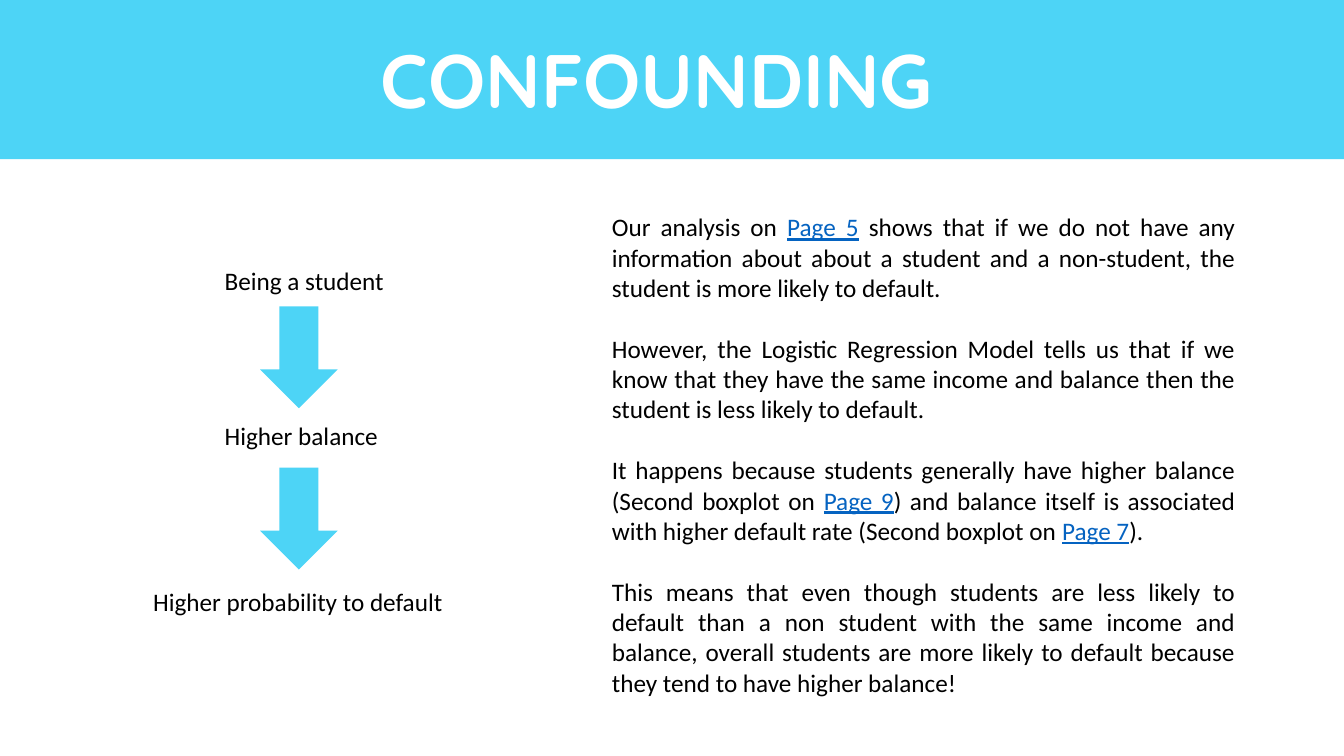
from pptx import Presentation
from pptx.dml.color import RGBColor
from pptx.enum.shapes import MSO_SHAPE
from pptx.enum.text import PP_ALIGN
from pptx.util import Inches, Pt

COLORS = {"sky": "4DD4F6", "white": "FFFFFF", "ink": "000000", "reference": "0563C1"}

deck = Presentation()
deck.slide_width, deck.slide_height = Inches(13.33), Inches(7.5)
slide = deck.slides.add_slide(deck.slide_layouts[6])


def add_block(preset, left, top, width, height):
    block = slide.shapes.add_shape(
        preset, Inches(left), Inches(top), Inches(width), Inches(height))
    block.shadow.inherit = False
    block.fill.solid()
    block.fill.fore_color.rgb = RGBColor.from_string(COLORS["sky"])
    block.line.fill.background()


def add_text(left, top, width, height, paragraphs, size=18, face="Calibri",
             color="ink", bold=False, align=PP_ALIGN.LEFT, gap=0):
    """Pieces between bars are page references."""
    frame = slide.shapes.add_textbox(
        Inches(left), Inches(top), Inches(width), Inches(height)).text_frame
    frame.word_wrap = True
    for index, wording in enumerate(paragraphs):
        paragraph = frame.paragraphs[0] if index == 0 else frame.add_paragraph()
        paragraph.alignment = align
        paragraph.space_before = Pt(gap if index else 0)
        paragraph.font.size, paragraph.font.name = Pt(size), face
        paragraph.font.bold = bold
        paragraph.font.color.rgb = RGBColor.from_string(COLORS[color])
        for position, piece in enumerate(wording.split("|")):
            run = paragraph.add_run()
            run.text = piece
            if position % 2:
                run.font.underline = True
                run.font.color.rgb = RGBColor.from_string(COLORS["reference"])


# Title band
add_block(MSO_SHAPE.RECTANGLE, 0, 0, 13.33, 1.58)
add_text(3.68, 0.28, 5.98, 1.01, ["CONFOUNDING"], size=54, face="Quicksand",
         color="white", bold=True)

# Explanation, one blank line's height between paragraphs
explanation = [
    "Our analysis on |Page 5| shows that if we do not have any information about "
    "about a student and a non-student, the student is more likely to default.",
    "However, the Logistic Regression Model tells us that if we know that they have "
    "the same income and balance then the student is less likely to default.",
    "It happens because students generally have higher balance (Second boxplot on "
    "|Page 9|) and balance itself is associated with higher default rate "
    "(Second boxplot on |Page 7|).",
    "This means that even though students are less likely to default than a non "
    "student with the same income and balance, overall students are more likely to "
    "default because they tend to have higher balance!",
]
add_text(5.97, 2.05, 6.38, 4.95, explanation, align=PP_ALIGN.JUSTIFY, gap=22)

# Causal chain
for left, top, stage in [(2.13, 2.58, "Being a student"),
                         (2.13, 4.12, "Higher balance"),
                         (1.42, 5.77, "Higher probability to default")]:
    add_text(left, top, 3.09, 0.4, [stage])
for arrow_top in (3.04, 4.64):
    add_block(MSO_SHAPE.DOWN_ARROW, 2.58, arrow_top, 0.77, 1.01)

deck.save("out.pptx")
